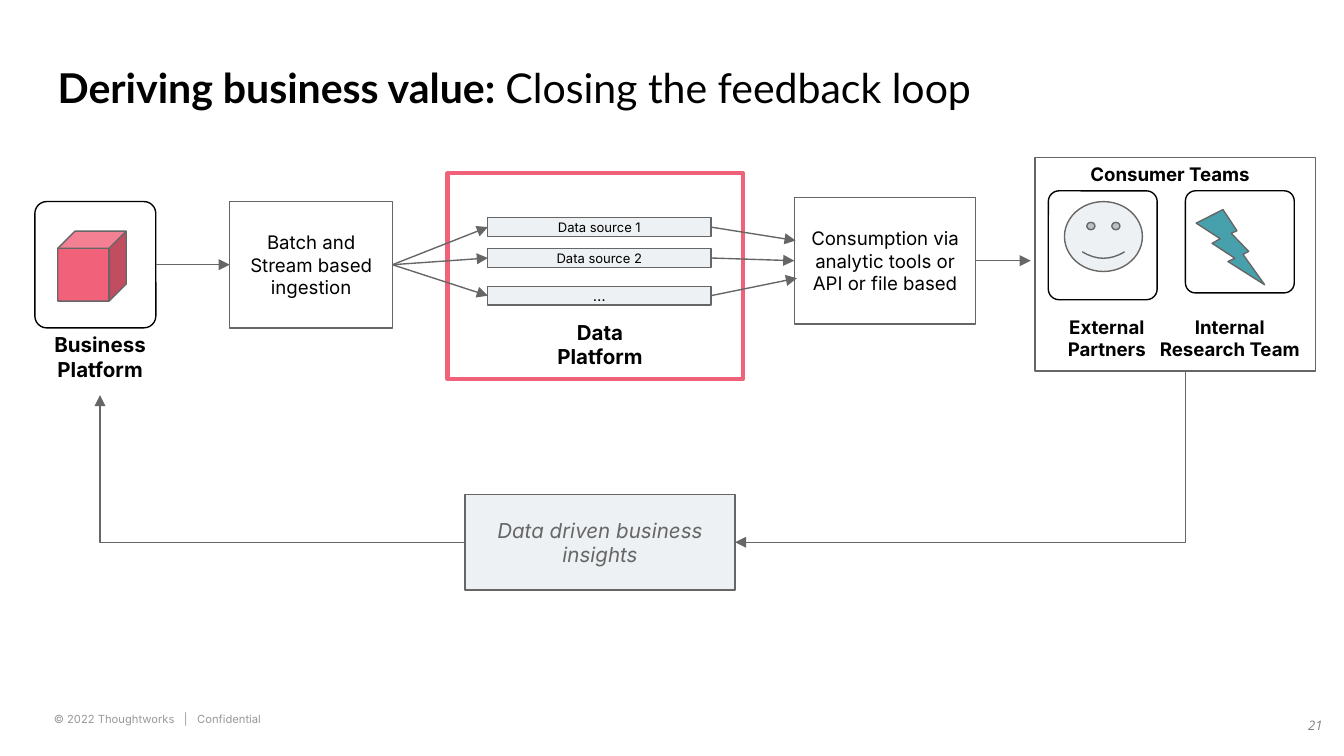
from lxml import etree
from pptx import Presentation
from pptx.dml.color import RGBColor
from pptx.enum import shapes, text
from pptx.oxml import ns
from pptx.util import Inches, Pt

BLACK = RGBColor(0x00, 0x00, 0x00)
WHITE = RGBColor(0xFF, 0xFF, 0xFF)
GREY = RGBColor(0x66, 0x66, 0x66)
FOOTER_GREY = RGBColor(0x99, 0x99, 0x99)
NUMBER_GREY = RGBColor(0x80, 0x81, 0x84)
PALE = RGBColor(0xED, 0xF1, 0xF3)
PINK = RGBColor(0xF2, 0x61, 0x7A)
TEAL = RGBColor(0x47, 0xA1, 0xAD)

SHAPE = shapes.MSO_SHAPE
CENTER = text.PP_ALIGN.CENTER
TOP, LEFT, BOTTOM, RIGHT = range(4)


def write(shape, runs, align=CENTER, anchor=text.MSO_ANCHOR.TOP, inset=0.1, spacing=None):
    """Fill a shape with one paragraph; runs are (wording, font format) pairs."""
    frame = shape.text_frame
    margin = Inches(inset)
    settings = dict(word_wrap=True, vertical_anchor=anchor, margin_left=margin,
                    margin_right=margin, margin_top=margin, margin_bottom=margin)
    for name, value in settings.items():
        setattr(frame, name, value)
    paragraph = frame.paragraphs[0]
    paragraph.alignment = align
    if spacing:
        paragraph.line_spacing = spacing
    for wording, font_format in runs:
        run = paragraph.add_run()
        run.text = wording
        values = {"name": "Inter", "color": BLACK, **font_format}
        run.font.color.rgb = values.pop("color")
        values["size"] = Pt(values["size"])
        for name, value in values.items():
            setattr(run.font, name, value)


def add_text(slide, box, runs, **layout):
    shape = slide.shapes.add_textbox(*map(Inches, box))
    write(shape, runs, **layout)
    return shape


def add_label(slide, box, wording, size=10):
    return add_text(slide, box, [(wording, dict(size=size, bold=True))])


def add_box(slide, box, kind=SHAPE.RECTANGLE, fill=WHITE, line=GREY, width=0.75, adjust=None):
    shape = slide.shapes.add_shape(kind, *map(Inches, box))
    shape.shadow.inherit = False
    if fill is None:
        shape.fill.background()
    else:
        shape.fill.solid()
        shape.fill.fore_color.rgb = fill
    shape.line.color.rgb = line
    shape.line.width = Pt(width)
    if adjust is not None:
        shape.adjustments[0] = adjust
    return shape


def add_card(slide, box):
    return add_box(slide, box, SHAPE.ROUNDED_RECTANGLE, line=BLACK, adjust=0.098)


def add_step(slide, box, wording, fill=WHITE, **font_format):
    shape = add_box(slide, box, fill=fill)
    write(shape, [(wording, {"size": 10, **font_format})], anchor=text.MSO_ANCHOR.MIDDLE)
    return shape


def locate(end):
    """Return the point of an end given as (x, y) in inches or (shape, side)."""
    place, side = end
    if isinstance(place, (int, float)):
        return Inches(place), Inches(side)
    across = {LEFT: 0, RIGHT: place.width}.get(side, place.width // 2)
    down = {TOP: 0, BOTTOM: place.height}.get(side, place.height // 2)
    return place.left + across, place.top + down


def add_arrow(slide, start, end, bend=None):
    """Draw an arrow; bend is the elbow's turning point as a share of its width."""
    kind = shapes.MSO_CONNECTOR.STRAIGHT if bend is None else shapes.MSO_CONNECTOR.ELBOW
    arrow = slide.shapes.add_connector(kind, *locate(start), *locate(end))
    for (place, side), join in ((start, arrow.begin_connect), (end, arrow.end_connect)):
        if not isinstance(place, (int, float)):
            join(place, side)
    arrow.line.color.rgb = GREY
    arrow.line.width = Pt(0.75)
    properties = arrow.element.spPr
    line = properties.find(ns.qn("a:ln"))
    etree.SubElement(line, ns.qn("a:tailEnd"), type="triangle")
    etree.SubElement(properties, ns.qn("a:effectLst"))
    if bend is not None:
        guides = properties.find(ns.qn("a:prstGeom")).get_or_add_avLst()
        etree.SubElement(guides, ns.qn("a:gd"), name="adj1", fmla=f"val {bend * 100000}")


def add_page_texts(slide):
    add_text(slide, (0.43, 0.31, 10, 0.52),
             [("Deriving business value: ", dict(size=22, name="Lato", bold=True)),
              ("Closing the feedback loop", dict(size=22, name="Lato", bold=False))],
             align=text.PP_ALIGN.LEFT, anchor=text.MSO_ANCHOR.BOTTOM, inset=0, spacing=1.05)
    add_text(slide, (0.4, 5.21, 4.31, 0.19),
             [("© 2022 Thoughtworks   |   Confidential", dict(size=6, color=FOOTER_GREY))],
             align=text.PP_ALIGN.LEFT, anchor=text.MSO_ANCHOR.BOTTOM, inset=0)
    add_text(slide, (9.51, 5.34, 0.33, 0.15),
             [("21", dict(size=7, name="Open Sans", color=NUMBER_GREY, italic=True))],
             align=text.PP_ALIGN.RIGHT, inset=0)


def add_consumer_teams(slide):
    add_box(slide, (7.7, 1.17, 2.09, 1.59), fill=None)
    add_label(slide, (7.78, 1.13, 1.85, 0.37), "Consumer Teams")
    add_card(slide, (7.8, 1.42, 0.81, 0.81))
    add_box(slide, (7.92, 1.5, 0.58, 0.52), SHAPE.SMILEY_FACE, PALE, adjust=0.047)
    add_label(slide, (7.63, 2.25, 1.21, 0.54), "External Partners")
    add_card(slide, (8.82, 1.42, 0.81, 0.76))
    add_box(slide, (8.9, 1.56, 0.51, 0.56), SHAPE.LIGHTNING_BOLT, TEAL)
    add_label(slide, (8.48, 2.25, 1.34, 0.54), "Internal Research Team")


def main():
    presentation = Presentation()
    presentation.slide_width = Inches(10)
    presentation.slide_height = presentation.slide_width * 9 // 16
    slide = presentation.slides.add_slide(presentation.slide_layouts[6])

    add_page_texts(slide)
    add_consumer_teams(slide)

    # Business platform and ingestion
    business = add_card(slide, (0.26, 1.5, 0.9, 0.94))
    add_box(slide, (0.43, 1.72, 0.51, 0.52), SHAPE.CUBE, PINK, adjust=0.25)
    business_label = add_label(slide, (0.19, 2.37, 1.11, 0.57), "Business Platform", 11)
    ingestion = add_step(slide, (1.71, 1.5, 1.21, 0.94), "Batch and Stream based ingestion")
    add_arrow(slide, (business, RIGHT), (ingestion, LEFT))

    # Data platform with its sources, and consumption
    add_box(slide, (3.33, 1.29, 2.2, 1.53), line=PINK, width=2.25)
    add_label(slide, (3.86, 2.28, 1.21, 0.57), "Data Platform", 11)
    consumption = add_step(slide, (5.91, 1.47, 1.35, 0.94),
                           "Consumption via analytic tools or API or file based")
    sources = (("Data source 1", 1.62, 7, (5.92, 1.79)),
               ("Data source 2", 1.85, 7, (consumption, LEFT)),
               ("…", 2.13, 8, (5.93, 2.07)))
    for wording, top, size, target in sources:
        source = add_step(slide, (3.63, top, 1.66, 0.14), wording, PALE, size=size)
        add_arrow(slide, (ingestion, RIGHT), (source, LEFT))
        add_arrow(slide, (source, RIGHT), target)
    add_arrow(slide, (consumption, RIGHT), (7.67, 1.94))

    # Feedback loop
    insights = add_step(slide, (3.46, 3.68, 2.01, 0.71), "Data driven business insights",
                        PALE, size=11, color=GREY, italic=True)
    add_arrow(slide, (8.82, 2.77), (insights, RIGHT), bend=0)
    add_arrow(slide, (insights, LEFT), (business_label, BOTTOM), bend=1)

    presentation.save("out.pptx")


if __name__ == "__main__":
    main()
